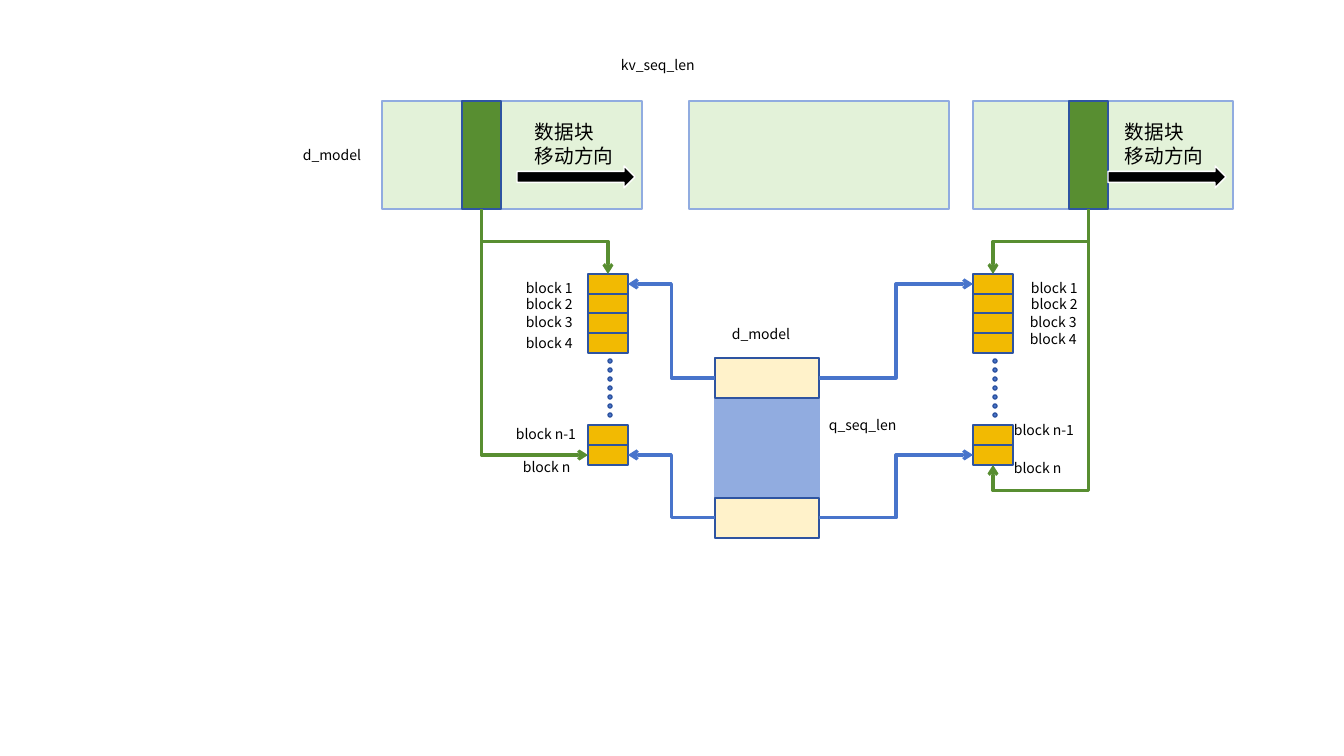
import pptx
import pptx.util
import pptx.dml.color
import pptx.enum.shapes
import pptx.enum.text
import pptx.oxml.ns
import lxml.etree

PX = 914400 / 100.8
FONT = "Noto Sans CJK SC"
HUE = {
    "ink": "000000", "white": "FFFFFF", "mist": "91ACE0", "navy": "2E54A1",
    "blue": "4874CB", "leaf": "E3F2D9", "green": "588E31",
    "cream": "FFF2CA", "gold": "F2BA02",
}
KIND = pptx.enum.shapes.MSO_SHAPE
TOP, LEFT, BASE, RIGHT = range(4)

deck = pptx.Presentation()
deck.slide_width = round(1344 * PX)
deck.slide_height = round(756 * PX)
slide = deck.slides.add_slide(deck.slide_layouts[6])


def say(text, x, y, w, h=27, size=10, mid=False):
    box = slide.shapes.add_textbox(*[round(n * PX) for n in (x, y, w, h)])
    frame = box.text_frame
    frame.word_wrap = True
    frame.auto_size = pptx.enum.text.MSO_AUTO_SIZE.SHAPE_TO_FIT_TEXT
    if mid:
        frame.vertical_anchor = pptx.enum.text.MSO_ANCHOR.MIDDLE
    frame.text = text
    for run in frame.paragraphs[0].runs:
        run.font.size = pptx.util.Pt(size)
        run.font.name = FONT
        run.font.color.rgb = pptx.dml.color.RGBColor.from_string(HUE["ink"])
        east = lxml.etree.SubElement(run.font._element, pptx.oxml.ns.qn("a:ea"))
        east.set("typeface", FONT)


def bend(start, exit, stop, entry, hue, down=False, prst=None, adj=None):
    wire = slide.shapes.add_connector(pptx.enum.shapes.MSO_CONNECTOR.ELBOW, 0, 0, 0, 0)
    wire.begin_connect(parts[start], exit)
    wire.end_connect(parts[stop], entry)
    props = wire._element.spPr
    if down:
        wide = wire.end_x - wire.begin_x
        tall = wire.end_y - wire.begin_y
        mid_x = (wire.begin_x + wire.end_x) // 2
        mid_y = (wire.begin_y + wire.end_y) // 2
        frame = props.find(pptx.oxml.ns.qn("a:xfrm"))
        frame.attrib.clear()
        frame.set("rot", "5400000")
        if wide > 0:
            frame.set("flipV", "1")
        wire.width, wire.height = tall, abs(wide)
        wire.left, wire.top = mid_x - tall // 2, mid_y - abs(wide) // 2
    shape = props.find(pptx.oxml.ns.qn("a:prstGeom"))
    if prst:
        shape.set("prst", prst)
    if adj:
        guide = lxml.etree.SubElement(shape.find(pptx.oxml.ns.qn("a:avLst")), pptx.oxml.ns.qn("a:gd"))
        guide.set("name", "adj1")
        guide.set("fmla", f"val {adj}")
    wire.line.width = pptx.util.Pt(2.25)
    wire.line.color.rgb = pptx.dml.color.RGBColor.from_string(HUE[hue])
    lxml.etree.SubElement(wire.line._get_or_add_ln(), pptx.oxml.ns.qn("a:tailEnd")).set("type", "arrow")
    lxml.etree.SubElement(props, pptx.oxml.ns.qn("a:effectLst"))


plan = [
    ("query", KIND.RECTANGLE, 715, 358, 104, 180, "mist", "mist"),
    ("head", KIND.RECTANGLE, 715, 358, 104, 40, "cream", "navy"),
    ("foot", KIND.RECTANGLE, 715, 498, 104, 40, "cream", "navy"),
    ("band mid", KIND.RECTANGLE, 689, 101, 260, 108, "leaf", "mist"),
]
for side, band, slab, arrow, stack in (
    ("left", 382, 462, 517, 588),
    ("right", 973, 1069, 1108, 973),
):
    plan += [
        (f"band {side}", KIND.RECTANGLE, band, 101, 260, 108, "leaf", "mist"),
        (f"slab {side}", KIND.RECTANGLE, slab, 101, 39, 108, "green", "navy"),
        (f"arrow {side}", KIND.RIGHT_ARROW, arrow, 166, 118, 22, "ink", "white"),
    ]
    for i, row in enumerate((274, 294, 313, 333, 425, 445)):
        plan.append((f"block {side} {i}", KIND.RECTANGLE, stack, row, 40, 20, "gold", "navy"))
    for i in range(7):
        plan.append((f"dot {side} {i}", KIND.OVAL, stack + 20, 359 + 9 * i, 4, 4, "blue", "navy"))

parts = {}
for key, kind, x, y, w, h, fill, line in plan:
    part = slide.shapes.add_shape(kind, *[round(n * PX) for n in (x, y, w, h)])
    part.shadow.inherit = False
    part.fill.solid()
    part.fill.fore_color.rgb = pptx.dml.color.RGBColor.from_string(HUE[fill])
    part.line.color.rgb = pptx.dml.color.RGBColor.from_string(HUE[line])
    part.line.width = pptx.util.Pt(1)
    parts[key] = part

for side, exit, entry in (("left", LEFT, RIGHT), ("right", RIGHT, LEFT)):
    bend("head", exit, f"block {side} 0", entry, "blue")
    bend("foot", exit, f"block {side} 5", entry, "blue")
    bend(f"slab {side}", BASE, f"block {side} 0", TOP, "green", down=True)
bend("slab left", BASE, "block left 5", LEFT, "green", down=True, prst="bentConnector2")
bend("slab right", BASE, "block right 5", BASE, "green", down=True, adj=110000)

say("kv_seq_len", 611, 52, 157)
say("d_model", 293, 142, 89)
say("d_model", 722, 321, 89)
say("q_seq_len", 819, 412, 106)
for x in (525, 1115):
    say("数据块\v移动方向", x, 115, 118, 57, size=14)
for text, left, right in (
    ("block 1", (516, 274, 72), (1021, 274, 72)),
    ("block 2", (516, 290, 72), (1021, 290, 72)),
    ("block 3", (516, 308, 72), (1020, 308, 72)),
    ("block 4", (516, 329, 72), (1020, 325, 72)),
    ("block n-1", (506, 420, 104), (1004, 416, 104)),
    ("block n", (513, 453, 104), (1004, 454, 104)),
):
    for spot in (left, right):
        say(text, *spot, mid=True)

deck.save("out.pptx")
